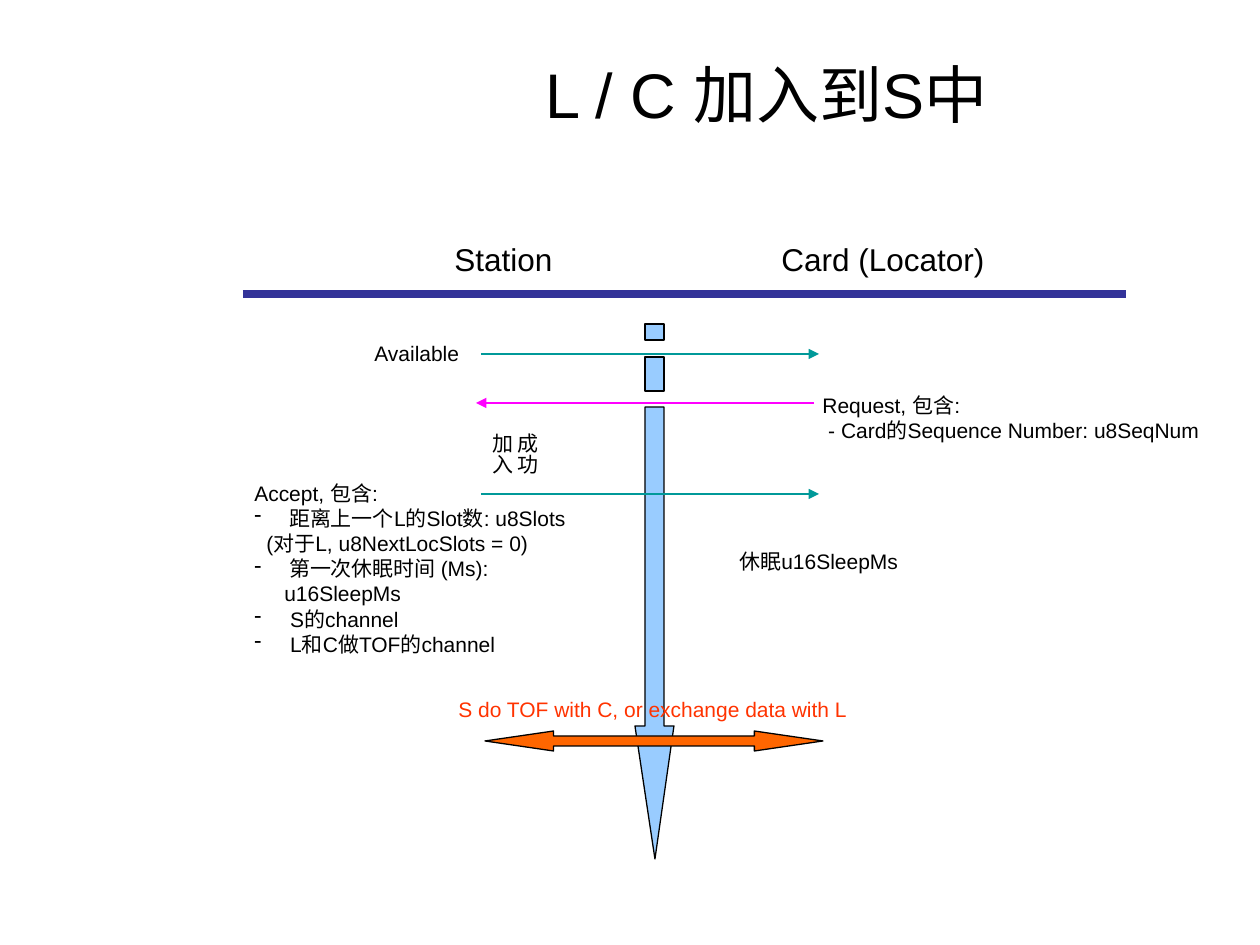
from dataclasses import dataclass

from lxml.etree import SubElement
from pptx import Presentation
from pptx.dml.color import RGBColor
from pptx.enum.shapes import MSO_CONNECTOR as Link, MSO_SHAPE as Kind
from pptx.enum.text import MSO_ANCHOR as Anchor, MSO_AUTO_SIZE as Fit, PP_ALIGN as Align
from pptx.oxml.ns import qn
from pptx.util import Emu, Pt

SCALE = 914400 / 126
BLACK, TEAL, PINK = "000000", "009999", "FF00FF"
FONT = "Arial"
HANG = 30


@dataclass
class Note:
    """A text box with its place, wording and look."""
    left: int
    top: int
    width: int
    height: int
    text: str
    size: int = 12
    color: str = BLACK
    wrap: bool = False
    upright: bool = False


@dataclass
class Ray:
    """A level line, with an arrowhead at its end when wanted."""
    start: int
    end: int
    top: int
    color: str
    weight: float = 1.5
    head: bool = True


NOTES = [
    Note(442, 234, 123, 50, "Station", 18),
    Note(769, 234, 228, 50, "Card (Locator)", 18),
    Note(362, 334, 110, 38, "Available"),
    Note(810, 386, 412, 63, "Request, 包含:\n - Card的Sequence Number: u8SeqNum"),
    Note(470, 420, 76, 55, "成功\n加入", upright=True),
    Note(727, 542, 189, 38, "休眠u16SleepMs"),
    Note(446, 690, 415, 38, "S do TOF with C, or exchange data with L", color="FF3300"),
]
ACCEPT = Note(242, 474, 364, 164, "\n".join([
    "Accept, 包含:",
    " 距离上一个L的Slot数: u8Slots",
    "(对于L, u8NextLocSlots = 0)",
    " 第一次休眠时间 (Ms): u16SleepMs",
    " S的channel",
    " L和C做TOF的channel",
]), wrap=True)
RULE = Ray(243, 1126, 294, "333399", 4.5, False)
RAYS = [
    Ray(481, 819, 354, TEAL),
    Ray(814, 476, 403, PINK),
    Ray(481, 819, 494, TEAL),
]
SHAFT = [
    [(664, 407), (664, 726), (674, 726), (655, 859), (635, 726), (645, 726), (645, 407)],
    [(664, 324), (664, 340), (645, 340), (645, 324)],
    [(664, 357), (664, 391), (645, 391), (645, 357)],
]


def px(value: int) -> Emu:
    """Turn px into EMU."""
    return Emu(round(value * SCALE))


def rgb(code: str) -> RGBColor:
    """Turn a hex string into a colour."""
    return RGBColor.from_string(code)


def style(frame, size: int, color: str) -> None:
    """Set the font of every run in a text frame."""
    for para in frame.paragraphs:
        for run in para.runs:
            run.font.name = FONT
            run.font.size = Pt(size)
            run.font.color.rgb = rgb(color)


def paint(shape, color: str) -> None:
    """Fill a shape and give it a thin black edge."""
    shape.shadow.inherit = False
    shape.fill.solid()
    shape.fill.fore_color.rgb = rgb(color)
    shape.line.color.rgb = rgb(BLACK)
    shape.line.width = Pt(0.75)


def draw_note(slide, note: Note):
    """Add a text box and return its frame."""
    box = slide.shapes.add_textbox(*map(px, (note.left, note.top, note.width, note.height)))
    frame = box.text_frame
    frame.text = note.text
    frame.word_wrap = note.wrap
    frame.auto_size = Fit.SHAPE_TO_FIT_TEXT
    if note.upright:
        frame.margin_left = frame.margin_right = px(6)
        frame.margin_top = frame.margin_bottom = px(13)
        box.element.txBody.find(qn("a:bodyPr")).set("vert", "eaVert")
    style(frame, note.size, note.color)
    return frame


def indent(para, left: int, dash: bool) -> None:
    """Indent a paragraph, with a hanging dash when wanted."""
    props = para._p.get_or_add_pPr()
    props.set("marL", str(px(left)))
    if dash:
        props.set("indent", str(-px(left)))
        SubElement(props, qn("a:buChar"), char="-")


def draw_ray(slide, ray: Ray) -> None:
    """Add a line or arrow without shadow."""
    line = slide.shapes.add_connector(
        Link.STRAIGHT, px(ray.start), px(ray.top), px(ray.end), px(ray.top))
    line.line.color.rgb = rgb(ray.color)
    line.line.width = Pt(ray.weight)
    props = line.element.spPr
    if ray.head:
        SubElement(props.find(qn("a:ln")), qn("a:tailEnd"), type="triangle")
    SubElement(props, qn("a:effectLst"))


def draw_shaft(slide) -> None:
    """Add the striped time arrow."""
    first, *rest = SHAFT
    pen = slide.shapes.build_freeform(*first[0], scale=SCALE)
    pen.add_line_segments(first[1:], close=True)
    for part in rest:
        pen.move_to(*part[0])
        pen.add_line_segments(part[1:], close=True)
    paint(pen.convert_to_shape(), "99CCFF")


def draw_title(slide) -> None:
    """Place and format the title."""
    title = slide.shapes.title
    title.left, title.top, title.width, title.height = map(px, (336, 38, 861, 110))
    frame = title.text_frame
    frame.text = "L / C 加入到S中"
    frame.auto_size = Fit.NONE
    frame.vertical_anchor = Anchor.MIDDLE
    frame.paragraphs[0].alignment = Align.CENTER
    style(frame, 36, BLACK)


def main() -> None:
    """Build the slide and save it."""
    deck = Presentation()
    deck.slide_width, deck.slide_height = px(1260), px(945)
    slide = deck.slides.add_slide(deck.slide_layouts[5])
    draw_title(slide)
    draw_ray(slide, RULE)
    draw_shaft(slide)
    for ray in RAYS:
        draw_ray(slide, ray)
    swap = slide.shapes.add_shape(Kind.LEFT_RIGHT_ARROW, *map(px, (485, 731, 338, 20)))
    swap.adjustments[0], swap.adjustments[1] = 0.5, 3.43
    paint(swap, "FF6600")
    for note in NOTES:
        draw_note(slide, note)
    paras = draw_note(slide, ACCEPT).paragraphs
    for row, para in enumerate(paras[1:], 1):
        indent(para, 12 if row == 2 else HANG, row != 2)
    deck.save("out.pptx")


if __name__ == "__main__":
    main()
